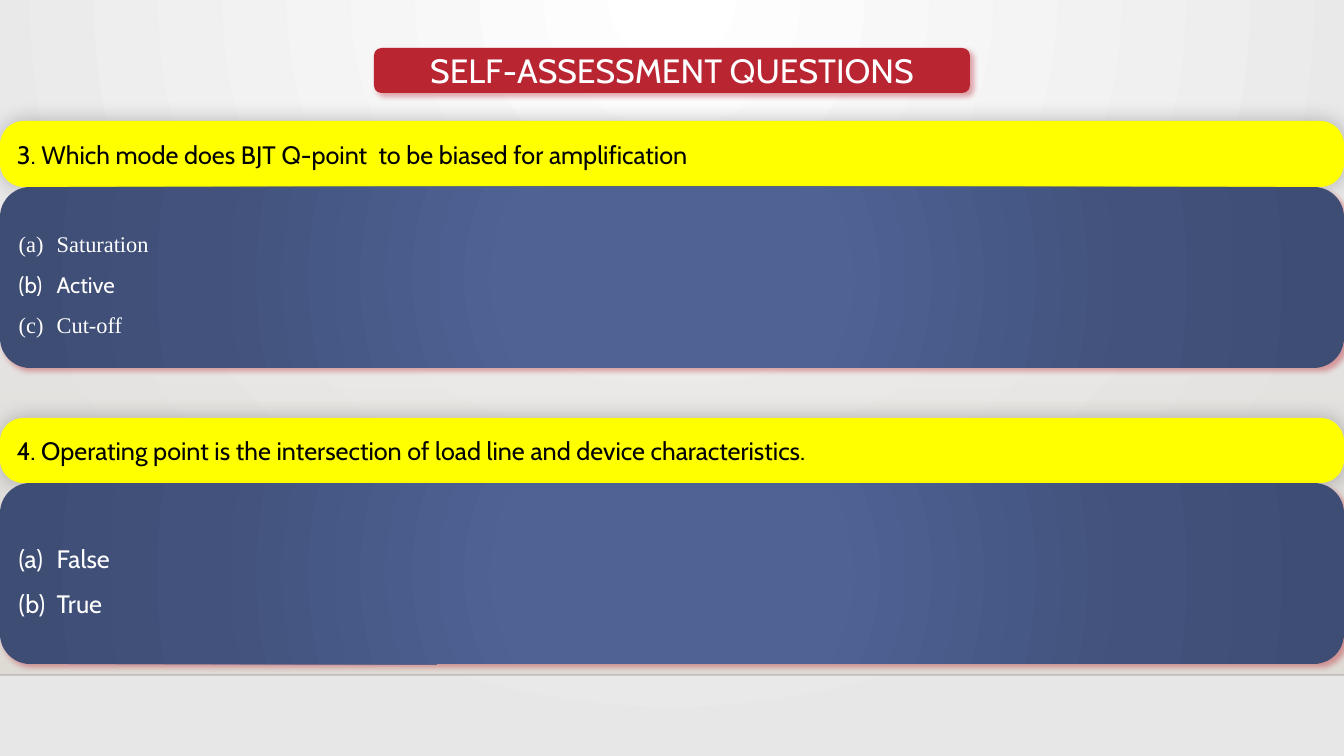
from dataclasses import dataclass

from lxml import etree
from pptx import Presentation
from pptx import util as u
from pptx.dml.color import RGBColor
from pptx.enum import shapes, text
from pptx.oxml.ns import qn

WIDTH, HEIGHT = 1344, 756
EMU_PER_PX = 12192000 / WIDTH


@dataclass(frozen=True)
class Theme:
    white: str = "FFFFFF"
    black: str = "000000"
    red: str = "BA2532"
    yellow: str = "FFFF00"
    backdrop: tuple = ((0, "FFFFFF", 100), (100, "E7E7E7", 100))
    floor: tuple = ((0, "DFDBD5", 0), (100, "DFDBD5", 100))
    panel: tuple = ((0, "4E6294", 100), (23, "4E6294", 100), (69, "42527C", 100), (97, "3E4D74", 100))
    floor_line: str = "000001"
    red_shadow: tuple = ("BA2532", 40, 4, 3, 45)
    soft_shadow: tuple = ("000000", 25, 15, 0, 0)
    sans: str = "Cabin"
    serif: str = "Times New Roman"
    title_size: int = 24
    body_size: int = 18
    small_size: int = 16


def px(length):
    return u.Emu(round(length * EMU_PER_PX))


def add_element(parent, tag, **attributes):
    values = {name: str(value) for name, value in attributes.items()}
    return etree.SubElement(parent, qn(tag), values)


def add_color(parent, color, alpha):
    element = add_element(parent, "a:srgbClr", val=color)
    if alpha < 100:
        add_element(element, "a:alpha", val=alpha * 1000)


class QuizSlide:
    def __init__(self, presentation, theme):
        self.theme = theme
        self.slide = presentation.slides.add_slide(presentation.slide_layouts[6])

    def fill_gradient(self, fill, owner, stops, center=None):
        fill.gradient()
        gradient = owner.find(".//" + qn("a:gradFill"))
        gradient.clear()
        gradient.set("rotWithShape", "1")
        stop_list = add_element(gradient, "a:gsLst")
        for position, color, alpha in stops:
            add_color(add_element(stop_list, "a:gs", pos=position * 1000), color, alpha)
        if center:
            sides = {side: share * 1000 for side, share in zip("ltrb", center)}
            add_element(add_element(gradient, "a:path", path="circle"), "a:fillToRect", **sides)
        else:
            add_element(gradient, "a:lin", ang=90 * 60000, scaled=0)

    def background(self):
        self.fill_gradient(self.slide.background.fill, self.slide.element, self.theme.backdrop, (43, 0, 43, 100))

    def box(self, kind, left, top, width, height, fill, center=None, shadow=None, corner=None):
        shape = self.slide.shapes.add_shape(kind, px(left), px(top), px(width), px(height))
        if corner is not None:
            shape.adjustments[0] = corner
        if isinstance(fill, str):
            shape.fill.solid()
            shape.fill.fore_color.rgb = RGBColor.from_string(fill)
        else:
            self.fill_gradient(shape.fill, shape.element, fill, center)
        shape.line.fill.background()
        shape.shadow.inherit = False
        if shadow:
            color, alpha, blur, distance, angle = shadow
            effects = shape.element.spPr.find(qn("a:effectLst"))
            outer = add_element(effects, "a:outerShdw", blurRad=u.Pt(blur), dist=u.Pt(distance),
                                dir=angle * 60000, algn="ctr", rotWithShape=0)
            add_color(outer, color, alpha)
        shape.text_frame.word_wrap = True
        shape.text_frame.vertical_anchor = text.MSO_ANCHOR.MIDDLE
        return shape

    def rounded(self, *args, **options):
        return self.box(shapes.MSO_SHAPE.ROUNDED_RECTANGLE, *args, **options)

    def style(self, paragraph, size, color, font=None, align=text.PP_ALIGN.LEFT):
        paragraph.alignment = align
        paragraph.font.size = u.Pt(size)
        paragraph.font.name = font or self.theme.sans
        paragraph.font.color.rgb = RGBColor.from_string(color)

    def floor(self, top, bottom):
        self.box(shapes.MSO_SHAPE.RECTANGLE, 0, top, WIDTH, bottom - top, self.theme.floor)
        line = self.slide.shapes.add_connector(
            shapes.MSO_CONNECTOR.STRAIGHT, px(0), px(bottom), px(WIDTH), px(bottom))
        line.line.width = u.Pt(1)
        line.line.color.rgb = RGBColor.from_string(self.theme.floor_line)
        properties = line.element.spPr
        add_element(properties.find(".//" + qn("a:srgbClr")), "a:alpha", val=20000)
        add_element(properties, "a:effectLst")

    def title(self, wording):
        shape = self.rounded(374, 48, 596, 45, self.theme.red, shadow=self.theme.red_shadow)
        paragraph = shape.text_frame.paragraphs[0]
        paragraph.text = wording
        self.style(paragraph, self.theme.title_size, self.theme.white, align=text.PP_ALIGN.CENTER)

    def question(self, top, height, wording):
        shape = self.rounded(0, top, WIDTH, height, self.theme.yellow,
                             shadow=self.theme.soft_shadow, corner=0.36)
        paragraph = shape.text_frame.paragraphs[0]
        paragraph.text = wording
        self.style(paragraph, self.theme.body_size, self.theme.black)

    def answers(self, top, size, options):
        shape = self.rounded(0, top, WIDTH, 181, self.theme.panel,
                             center=(50, 50, 50, 50), shadow=self.theme.red_shadow)
        frame = shape.text_frame
        for index, (wording, font) in enumerate(options):
            paragraph = frame.add_paragraph() if index else frame.paragraphs[0]
            paragraph.text = wording
            paragraph.line_spacing = 1.5
            properties = paragraph._p.get_or_add_pPr()
            properties.set("marL", str(px(38)))
            properties.set("indent", str(px(-38)))
            add_element(properties, "a:buAutoNum", type="alphaLcParenBoth")
            self.style(paragraph, size, self.theme.white, font)


def main():
    presentation = Presentation()
    presentation.slide_width, presentation.slide_height = px(WIDTH), px(HEIGHT)
    theme = Theme()
    quiz = QuizSlide(presentation, theme)
    quiz.background()
    quiz.floor(223, 675)
    quiz.title("SELF-ASSESSMENT QUESTIONS")
    quiz.question(121, 66, "3. Which mode does BJT Q-point  to be biased for amplification")
    quiz.answers(187, theme.small_size,
                 [("Saturation", theme.serif), ("Active", theme.sans), ("Cut-off", theme.serif)])
    quiz.question(418, 65, "4. Operating point is the intersection of load line and device characteristics.")
    quiz.answers(483, theme.body_size, [("False", theme.sans), ("True", theme.sans)])
    presentation.save("out.pptx")


if __name__ == "__main__":
    main()
